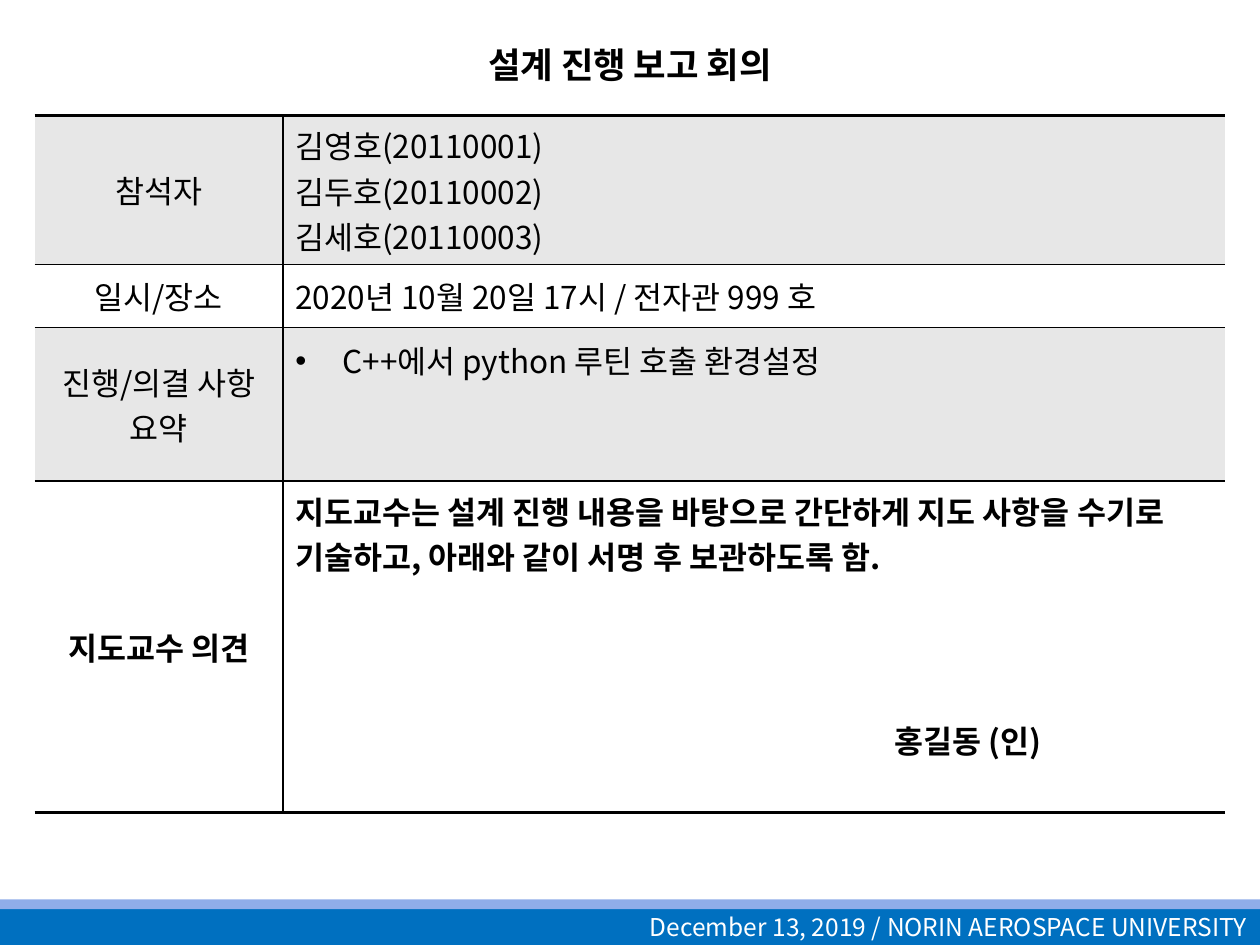
from dataclasses import dataclass

from lxml import etree
from pptx import Presentation
from pptx.dml.color import RGBColor
from pptx.enum.shapes import MSO_SHAPE
from pptx.enum.text import MSO_ANCHOR, PP_ALIGN
from pptx.oxml.ns import qn
from pptx.util import Cm, Pt

RECTANGLE = MSO_SHAPE.RECTANGLE
LEFT, CENTER, RIGHT = PP_ALIGN.LEFT, PP_ALIGN.CENTER, PP_ALIGN.RIGHT
TOP, MIDDLE = MSO_ANCHOR.TOP, MSO_ANCHOR.MIDDLE


@dataclass(frozen=True)
class Theme:
    font: str = "Noto Sans CJK KR"
    ink: str = "000000"
    paper: str = "FFFFFF"
    band: str = "E7E7E7"
    footer: str = "0070C0"
    footer_edge: str = "8FADE9"
    title_size: float = 25.2
    body_size: float = 18
    footer_size: float = 14
    thin: float = 1
    thick: float = 2


THEME = Theme()
SLIDE_WIDTH, SLIDE_HEIGHT = Cm(25.4), Cm(19.05)
COLUMN_WIDTHS = (Cm(5), Cm(19))
ROW_HEIGHTS = (Cm(3), Cm(1.27), Cm(3.1), Cm(6.68))


def write(frame, text, size=THEME.body_size, color=THEME.ink, bold=False,
          align=LEFT, small_caps=False, indent=0, bullet=None, space_before=0):
    """Fill the frame's first paragraph, or add one if it already has text."""
    paragraph = frame.add_paragraph() if frame.text else frame.paragraphs[0]
    paragraph.alignment = align
    paragraph.space_before = Pt(space_before)
    properties = paragraph._p.get_or_add_pPr()
    properties.set("marL", str(int(indent)))
    if bullet:
        properties.set("indent", str(-int(indent)))
        etree.SubElement(properties, qn("a:buFont"), typeface="Arial")
        etree.SubElement(properties, qn("a:buChar"), char=bullet)
    run = paragraph.add_run()
    run.text = text
    run.font.size, run.font.bold = Pt(size), bold
    run.font.color.rgb = RGBColor.from_string(color)
    run.font.name = THEME.font
    run_properties = run.font._element
    etree.SubElement(run_properties, qn("a:ea"), typeface=THEME.font)
    if small_caps:
        run_properties.set("cap", "small")


def add_bar(slide, top, height, color):
    bar = slide.shapes.add_shape(RECTANGLE, 0, top, SLIDE_WIDTH, height)
    bar.shadow.inherit = False
    bar.fill.solid()
    bar.fill.fore_color.rgb = RGBColor.from_string(color)
    bar.line.fill.background()
    return bar


def add_footer(slide):
    footer = add_bar(slide, Cm(18.31), Cm(0.74), THEME.footer)
    footer.text_frame.vertical_anchor = MIDDLE
    write(footer.text_frame, "December 13, 2019 / NORIN AEROSPACE UNIVERSITY",
          size=THEME.footer_size, color=THEME.paper, align=RIGHT)
    add_bar(slide, Cm(18.13), Cm(0.2), THEME.footer_edge)


def add_title(slide, text):
    title = slide.shapes.add_textbox(Cm(1.9), Cm(0.53), Cm(21.6), Cm(1.4))
    title.text_frame.word_wrap = True
    title.text_frame.vertical_anchor = MIDDLE
    write(title.text_frame, text, size=THEME.title_size, bold=True,
          align=CENTER, small_caps=True)


def set_borders(cell, **widths):
    """Draw the sides lnL, lnR, lnT, lnB; a width of 0 leaves a side open."""
    properties = cell._tc.get_or_add_tcPr()
    for position, side in enumerate(("lnL", "lnR", "lnT", "lnB")):
        width = widths[side]
        line = etree.Element(qn(f"a:{side}"), w=str(int(Pt(width))))
        if width:
            fill = etree.SubElement(line, qn("a:solidFill"))
            etree.SubElement(fill, qn("a:srgbClr"), val=THEME.ink)
        else:
            etree.SubElement(line, qn("a:noFill"))
        properties.insert(position, line)


def add_report_table(slide):
    rows, columns = len(ROW_HEIGHTS), len(COLUMN_WIDTHS)
    table = slide.shapes.add_table(rows, columns, Cm(0.7), Cm(2.33),
                                   sum(COLUMN_WIDTHS), sum(ROW_HEIGHTS)).table
    table.first_row = table.horz_banding = False
    for column, width in zip(table.columns, COLUMN_WIDTHS):
        column.width = width
    for r, height in enumerate(ROW_HEIGHTS):
        table.rows[r].height = height
        for c in range(columns):
            cell = table.cell(r, c)
            cell.vertical_anchor = MIDDLE
            cell.fill.solid()
            cell.fill.fore_color.rgb = RGBColor.from_string(
                THEME.paper if r % 2 else THEME.band)
            set_borders(cell,
                        lnL=THEME.thin if c else 0,
                        lnR=THEME.thin if c < columns - 1 else 0,
                        lnT=THEME.thin if r else THEME.thick,
                        lnB=THEME.thin if r < rows - 1 else THEME.thick)
    return table


def fill_report(table):
    labels = ("참석자", "일시/장소", "진행/의결 사항 요약", "지도교수 의견")
    for row, label in enumerate(labels):
        write(table.cell(row, 0).text_frame, label, align=CENTER,
              bold=row == len(labels) - 1)

    attendees, schedule, summary, opinion = (
        table.cell(row, 1) for row in range(len(labels)))
    for attendee in ("김영호(20110001)", "김두호(20110002)", "김세호(20110003)"):
        write(attendees.text_frame, attendee)
    write(schedule.text_frame, "2020년 10월 20일 17시 / 전자관 999 호")

    summary.vertical_anchor = opinion.vertical_anchor = TOP
    summary.margin_top = Cm(0.2)
    write(summary.text_frame, "C++에서 python 루틴 호출 환경설정",
          indent=Cm(0.95), bullet="•")
    write(opinion.text_frame,
          "지도교수는 설계 진행 내용을 바탕으로 간단하게 지도 사항을 수기로 "
          "기술하고, 아래와 같이 서명 후 보관하도록 함.", bold=True)
    write(opinion.text_frame, "홍길동 (인)", bold=True,
          indent=Cm(12.07), space_before=79)


def main():
    presentation = Presentation()
    presentation.slide_width = SLIDE_WIDTH
    presentation.slide_height = SLIDE_HEIGHT
    slide = presentation.slides.add_slide(presentation.slide_layouts[6])
    add_footer(slide)
    add_title(slide, "설계 진행 보고 회의")
    fill_report(add_report_table(slide))
    presentation.save("out.pptx")


if __name__ == "__main__":
    main()
